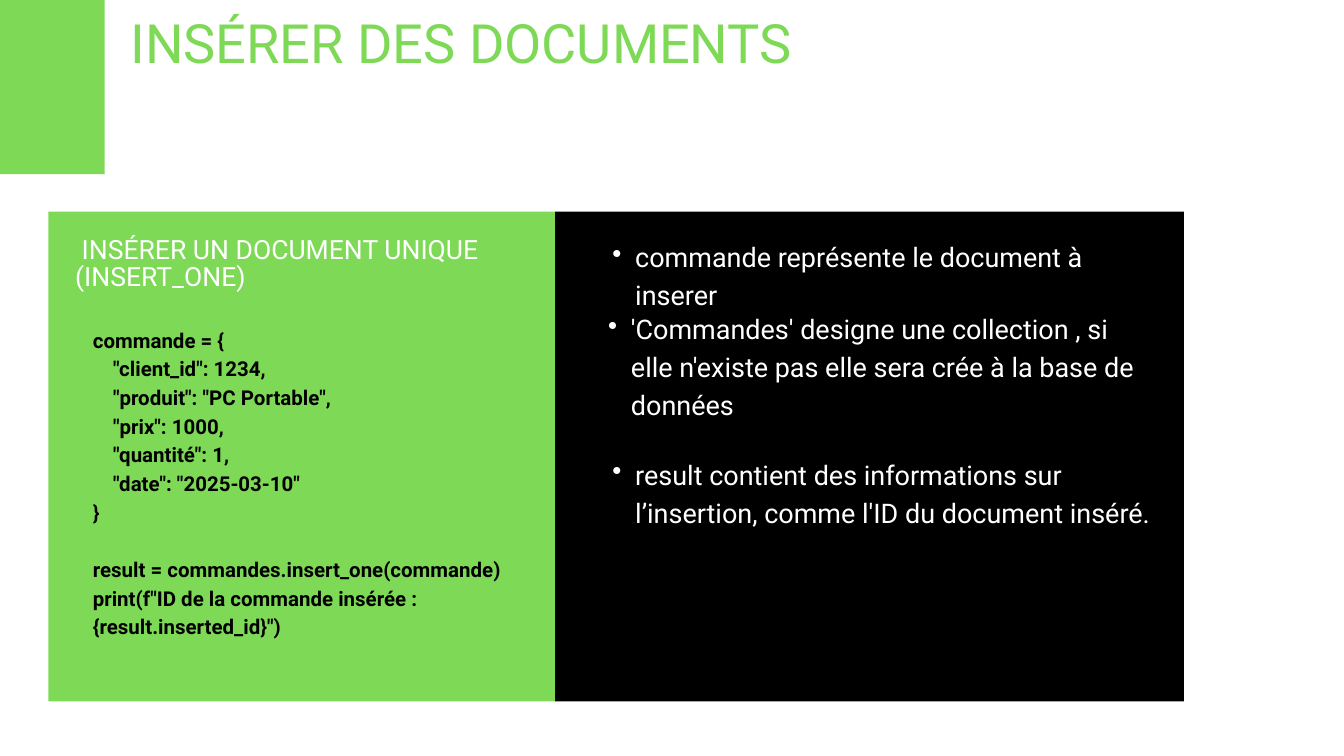
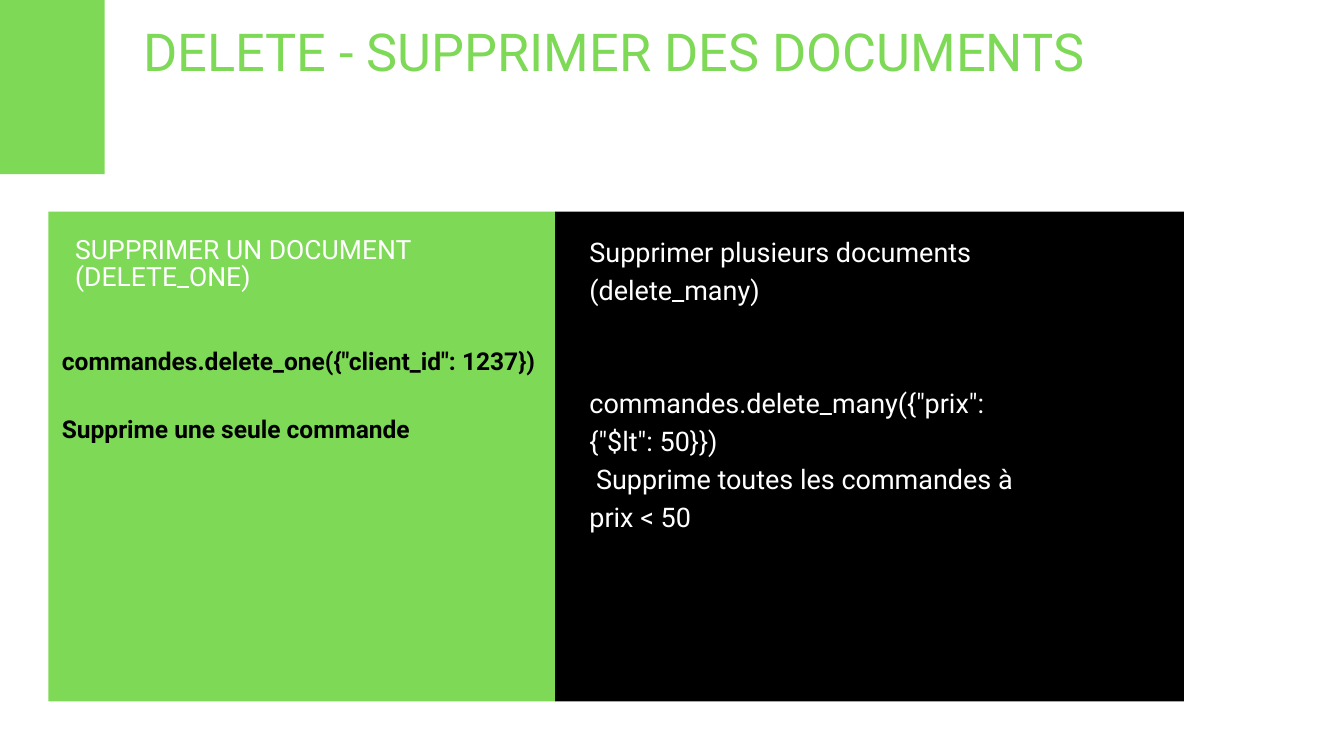
from dataclasses import dataclass

from lxml.etree import SubElement
from pptx import Presentation
from pptx.dml.color import RGBColor
from pptx.enum.shapes import MSO_SHAPE
from pptx.enum.text import MSO_AUTO_SIZE
from pptx.oxml.ns import qn
from pptx.util import Cm, Pt

GREEN = RGBColor(0x7E, 0xD9, 0x57)
BLACK = RGBColor(0x00, 0x00, 0x00)
WHITE = RGBColor(0xFF, 0xFF, 0xFF)
FONT = "Roboto"


@dataclass
class Style:
    """Size and line pitch in points, with colour and weight."""
    size: float
    pitch: float
    color: RGBColor
    bold: bool = False


@dataclass
class Line:
    """One paragraph, with the blank lines before it and its indents in cm."""
    text: str
    gap: int = 0
    indent: float = 0
    margin: float = 0
    bullet: bool = False


HEADING = Style(28.4, 29, WHITE)
BODY = Style(28.9, 40.5, WHITE)
WORD_SPACE = 0.25


class Deck:
    """Builds slides that share a corner band and two panels."""

    def __init__(self):
        self.presentation = Presentation()
        self.presentation.slide_width = Cm(50.8)
        self.presentation.slide_height = Cm(28.58)
        self.slide = None

    def add_slide(self, heading):
        """Start a slide with its band, panels and left heading."""
        self.slide = self.presentation.slides.add_slide(self.presentation.slide_layouts[6])
        self.block(0, 0, 3.96, 6.58, GREEN)
        self.block(1.83, 8, 19.15, 18.52, GREEN)
        self.block(20.98, 8, 23.77, 18.52, BLACK)
        self.text(2.84, 8.97, 17.3, 2.08, [heading], HEADING)

    def block(self, left, top, width, height, color):
        """Draw a plain filled rectangle."""
        block = self.slide.shapes.add_shape(
            MSO_SHAPE.RECTANGLE, Cm(left), Cm(top), Cm(width), Cm(height))
        block.shadow.inherit = False
        block.fill.solid()
        block.fill.fore_color.rgb = color
        block.line.fill.background()

    def title(self, left, top, wording, size, pitch):
        """Write the slide title."""
        self.text(left, top, 50.8 - left, 2.13, [Line(wording)], Style(size, pitch, GREEN))

    def bullet(self, left, top, height, wording):
        """Write one bullet point in the right panel."""
        point = Line(wording, indent=-0.86, margin=1.73, bullet=True)
        self.text(left, top, 21.46, height, [point], BODY)

    def text(self, left, top, width, height, lines, style):
        """Write lines of text in a box without insets."""
        frame = self.slide.shapes.add_textbox(
            Cm(left), Cm(top), Cm(width), Cm(height)).text_frame
        frame.word_wrap = True
        frame.auto_size = MSO_AUTO_SIZE.SHAPE_TO_FIT_TEXT
        frame.margin_left = frame.margin_top = frame.margin_right = frame.margin_bottom = 0
        for number, line in enumerate(lines):
            paragraph = frame.add_paragraph() if number else frame.paragraphs[0]
            paragraph.text = line.text
            paragraph.line_spacing = Pt(style.pitch)
            if line.gap:
                paragraph.space_before = Pt(line.gap * style.pitch)
            properties = paragraph._p.get_or_add_pPr()
            properties.set("marL", str(Cm(line.margin)))
            properties.set("indent", str(Cm(line.indent)))
            if line.bullet:
                paragraph.level = 1
                SubElement(properties, qn("a:buChar"), char="•")
            font = paragraph.font
            font.name = FONT
            font.size = Pt(style.size)
            font.bold = style.bold
            font.color.rgb = style.color


def insert_slide(deck):
    """Show how one document is inserted."""
    deck.add_slide(Line("INSÉRER UN DOCUMENT UNIQUE (INSERT_ONE)", indent=WORD_SPACE))
    deck.title(4.93, 0.71, "INSÉRER DES DOCUMENTS", 58, 59.2)
    code = [
        Line("commande = {"),
        Line('    "client_id": 1234,'),
        Line('    "produit": "PC Portable",'),
        Line('    "prix": 1000,'),
        Line('    "quantité": 1,'),
        Line('    "date": "2025-03-10"'),
        Line("}"),
        Line("result = commandes.insert_one(commande)", gap=1),
        Line('print(f"ID de la commande insérée : {result.inserted_id}")'),
    ]
    deck.text(3.51, 12.24, 15.8, 13.18, code, Style(21.9, 30.7, BLACK, True))
    deck.bullet(22.28, 8.89, 2.77, "commande représente le document à inserer")
    deck.bullet(22.12, 11.61, 4.17, "'Commandes' designe une collection , si elle n'existe pas "
                "elle sera crée à la base de données")
    deck.bullet(22.28, 17.12, 5.56, "result contient des informations sur l’insertion, "
                "comme l'ID du document inséré.")


def delete_slide(deck):
    """Show how one or several documents are deleted."""
    deck.add_slide(Line("SUPPRIMER UN DOCUMENT (DELETE_ONE)"))
    deck.title(5.41, 1.07, "DELETE - SUPPRIMER DES DOCUMENTS", 56, 57.1)
    delete_one = [
        Line('commandes.delete_one({"client_id": 1237})'),
        Line("Supprime une seule commande", gap=1),
    ]
    deck.text(2.34, 12.88, 18.11, 4.19, delete_one, Style(26.3, 36.8, BLACK, True))
    delete_many = [
        Line("Supprimer plusieurs documents (delete_many)"),
        Line('commandes.delete_many({"prix": {"$lt": 50}})', gap=2),
        Line("Supprime toutes les commandes à prix < 50", indent=WORD_SPACE),
    ]
    deck.text(22.28, 8.71, 17.3, 12.57, delete_many, BODY)


def main():
    """Build both slides and save them."""
    deck = Deck()
    insert_slide(deck)
    delete_slide(deck)
    deck.presentation.save("out.pptx")


if __name__ == "__main__":
    main()
